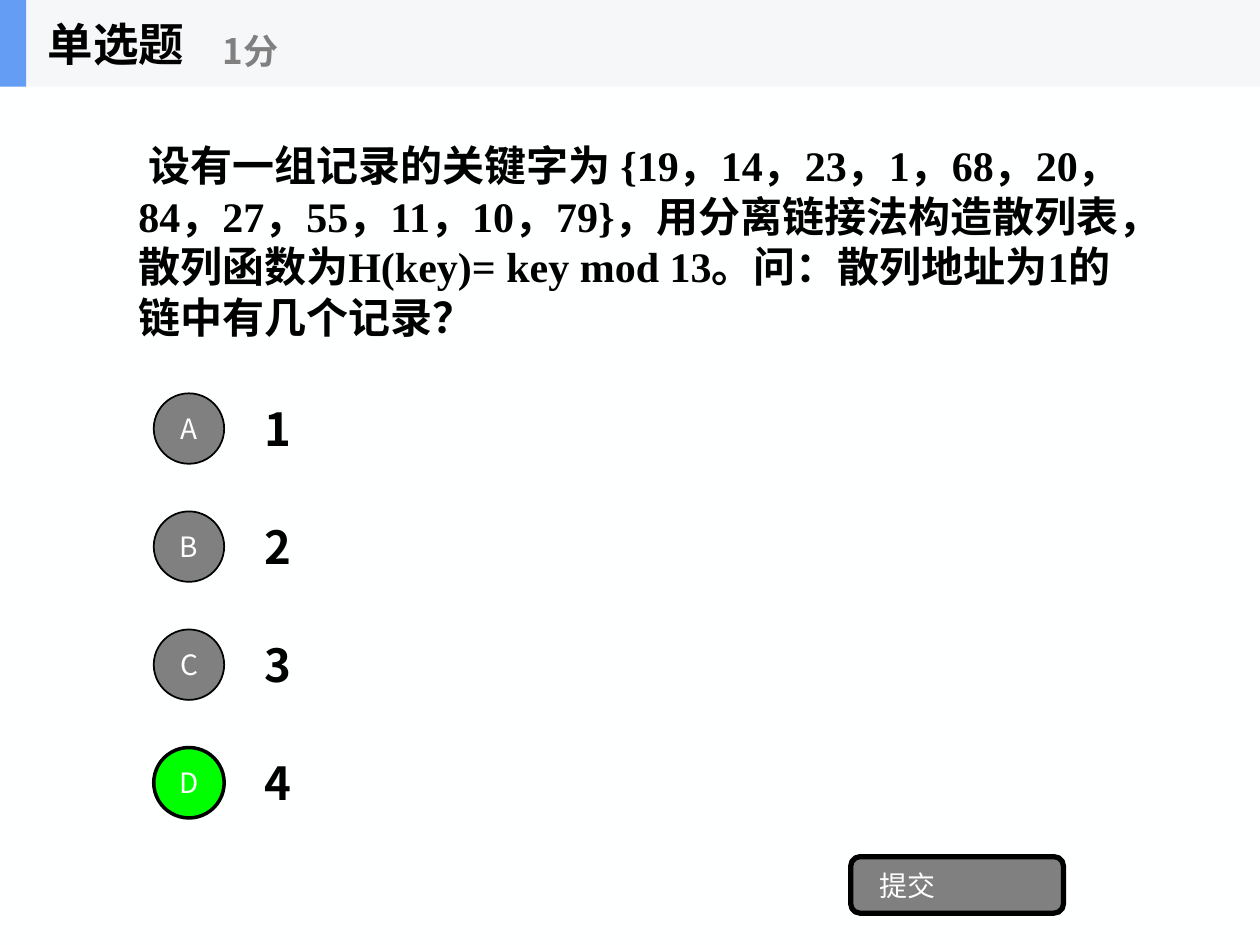
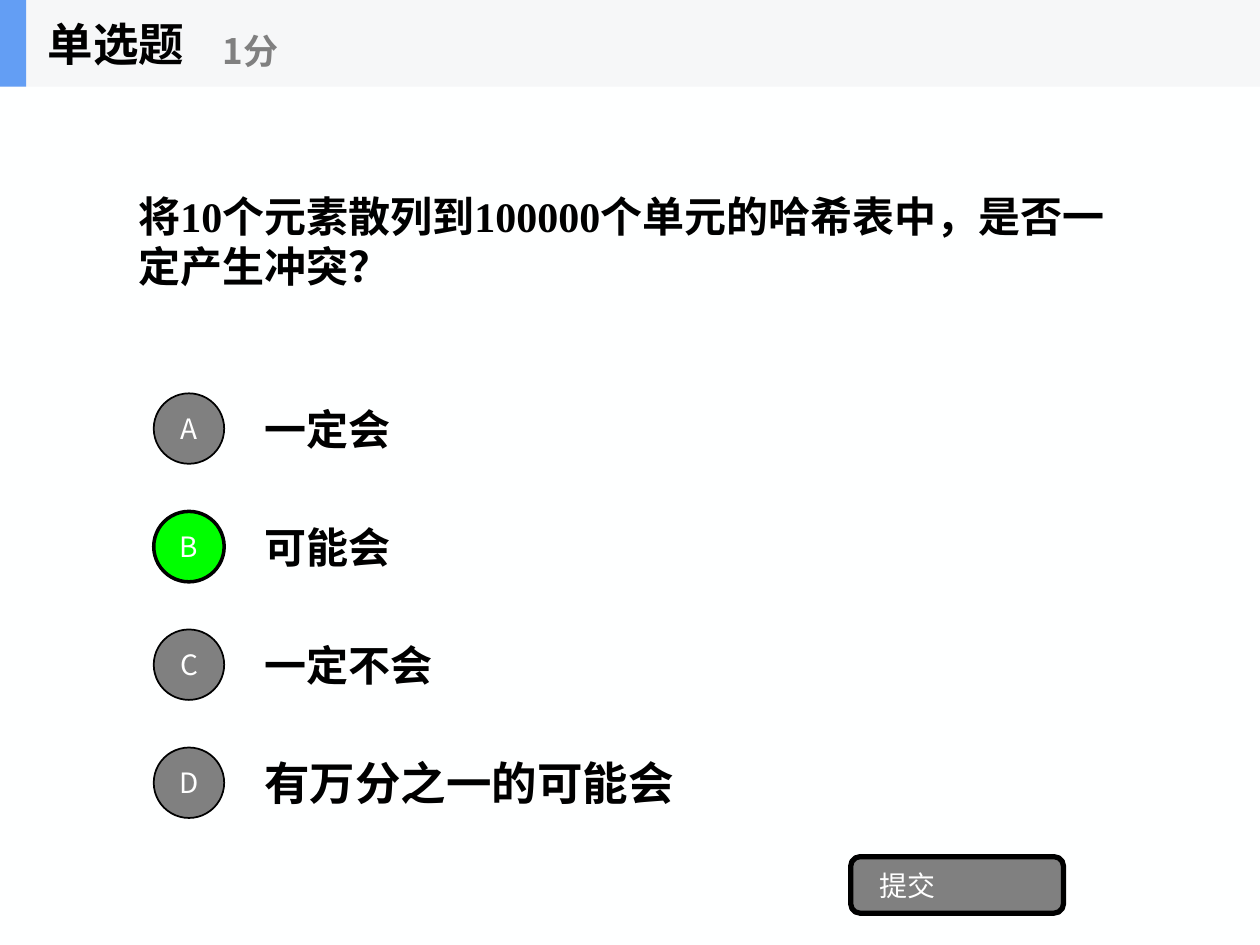
from pptx import Presentation
from pptx.dml.color import RGBColor
from pptx.enum.shapes import MSO_SHAPE as Shape
from pptx.enum.text import MSO_ANCHOR as Anchor, PP_ALIGN as Align
from pptx.oxml.ns import qn
from pptx.util import Cm, Pt

COLORS = {
    "page": "FEFFFF", "band": "F6F7F8", "accent": "639EF4", "text": "000000",
    "muted": "808080", "correct": "00FF00", "label": "FFFFFF",
}
SANS, SERIF = "Noto Sans CJK SC", "Times New Roman"
BIG, SMALL = (26, SANS), (24, SERIF)

KIND, SCORE, SUBMIT = "单选题", "1分", "提交"
QUESTIONS = [
    {
        "text": "设有一组记录的关键字为 {19，14，23，1，68，20，84，27，55，11，10，79}，"
                "用分离链接法构造散列表，散列函数为H(key)= key mod 13。"
                "问：散列地址为1的链中有几个记录？",
        "indent": 0.21,
        "options": [("1", BIG), ("2", BIG), ("3", BIG), ("4", BIG)],
        "answer": "D",
    },
    {
        "text": "将10个元素散列到100000个单元的哈希表中，是否一定产生冲突？",
        "indent": 0,
        "options": [("一定会", SMALL), ("可能会", SMALL), ("一定不会", SMALL),
                    ("有万分之一的可能会", BIG)],
        "answer": "B",
    },
]

# Lengths in centimetres
WIDTH, HEIGHT = 25.4, 19.05
BAND_H = 1.75
OPTION_X, OPTION_Y, OPTION_W, OPTION_H, OPTION_STEP = 5.08, 7.75, 17.78, 1.78, 2.38
CIRCLE_X, CIRCLE_D = 3.1, 1.42


def rgb(name):
    return RGBColor.from_string(COLORS[name])


def write(sp, text, size, font=SANS, color="text", bold=True, align=Align.LEFT):
    """Fill a shape with one vertically centred paragraph and return it."""
    tf = sp.text_frame
    tf.word_wrap = True
    tf.vertical_anchor = Anchor.MIDDLE
    p = tf.paragraphs[0]
    p.text = text
    p.alignment = align
    r = p.runs[0]
    r.font.name, r.font.size, r.font.bold = font, Pt(size), bold
    r.font.color.rgb = rgb(color)
    east_asian = r.font._element.makeelement(qn("a:ea"), {"typeface": SANS})
    r.font._element.append(east_asian)
    return p


def add_text(s, box, *args, **style):
    sp = s.shapes.add_textbox(*map(Cm, box))
    return sp, write(sp, *args, **style)


def add_block(s, kind, box, fill, line=None):
    sp = s.shapes.add_shape(kind, *map(Cm, box))
    sp.shadow.inherit = False
    sp.fill.solid()
    sp.fill.fore_color.rgb = rgb(fill)
    if line:
        sp.line.color.rgb = rgb("text")
        sp.line.width = Pt(line)
    else:
        sp.line.fill.background()
    return sp


def add_header(s):
    add_block(s, Shape.RECTANGLE, (0, 0, WIDTH, BAND_H), "band")
    add_block(s, Shape.RECTANGLE, (0, 0, 0.53, BAND_H), "accent")
    add_text(s, (0.71, 0, 5.28, BAND_H), KIND, 26)
    add_text(s, (4.24, 0.3, 6.35, 1.42), SCORE, 20, color="muted")


def add_question(s, text, indent):
    sp, p = add_text(s, (2.54, BAND_H, 20.32, 5.94), text, 24, SERIF)
    sp.text_frame.margin_top = Cm(0.38)
    p.line_spacing = Pt(28.9)
    if indent:
        p._p.get_or_add_pPr().set("indent", str(Cm(indent)))


def add_option(s, row, letter, text, style, correct):
    y = OPTION_Y + row * OPTION_STEP
    add_text(s, (OPTION_X, y, OPTION_W, OPTION_H), text, *style)
    circle = add_block(
        s, Shape.OVAL, (CIRCLE_X, y + (OPTION_H - CIRCLE_D) / 2, CIRCLE_D, CIRCLE_D),
        "correct" if correct else "muted", 2 if correct else 1)
    tf = circle.text_frame
    tf.margin_left = tf.margin_right = tf.margin_top = tf.margin_bottom = 0
    write(circle, letter, 16, color="label", bold=False, align=Align.CENTER)


def add_submit(s):
    button = add_block(s, Shape.ROUNDED_RECTANGLE, (17.15, 17.27, 4.29, 1.14), "muted", 3)
    button.text_frame.margin_left = Cm(0.53)
    write(button, SUBMIT, 16, color="label", bold=False)


def main():
    prs = Presentation()
    prs.slide_width, prs.slide_height = Cm(WIDTH), Cm(HEIGHT)
    for question in QUESTIONS:
        s = prs.slides.add_slide(prs.slide_layouts[6])
        s.background.fill.solid()
        s.background.fill.fore_color.rgb = rgb("page")
        add_question(s, question["text"], question["indent"])
        for row, (letter, (text, style)) in enumerate(zip("ABCD", question["options"])):
            add_option(s, row, letter, text, style, letter == question["answer"])
        add_submit(s)
        add_header(s)
    prs.save("out.pptx")


if __name__ == "__main__":
    main()
